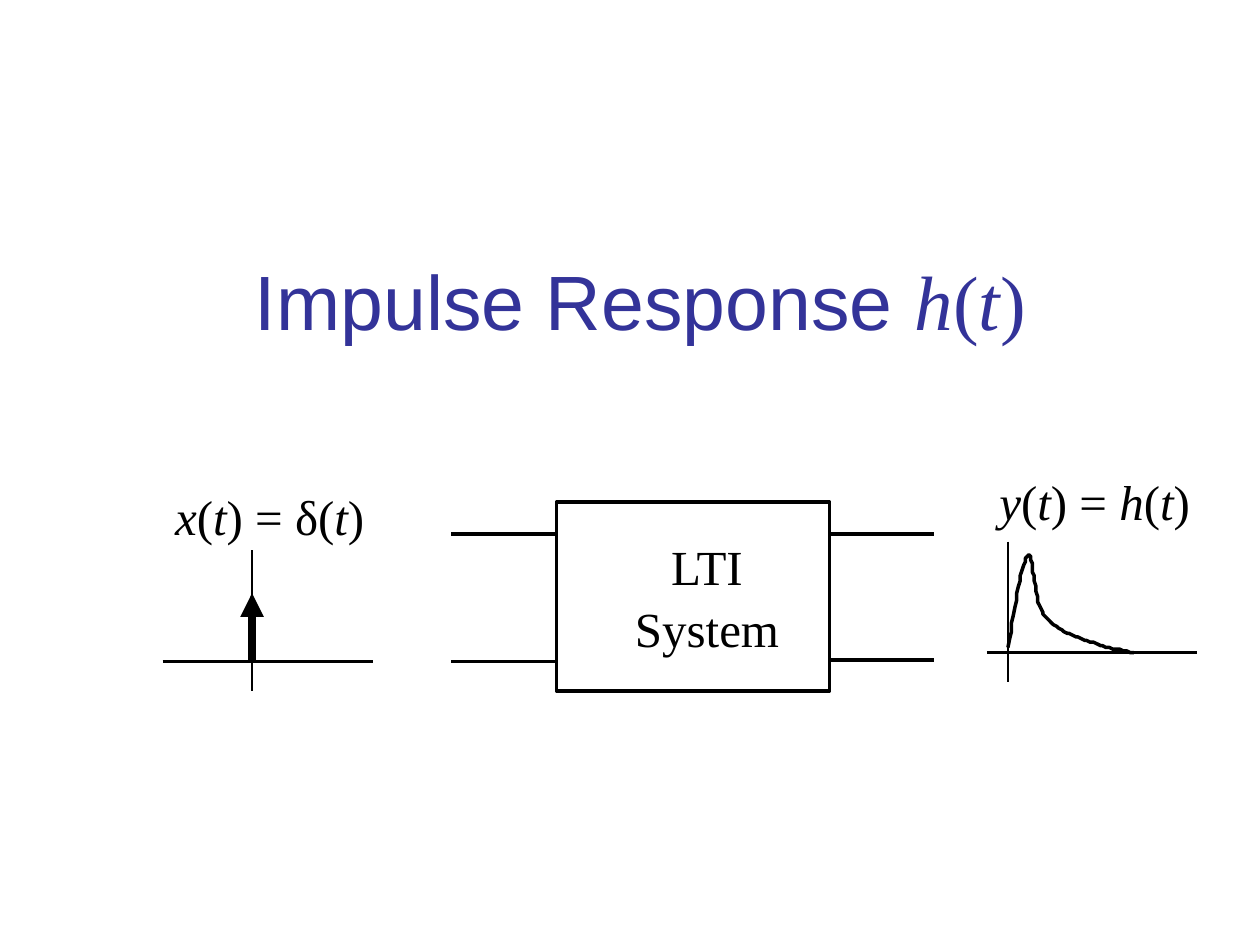
from dataclasses import dataclass
from itertools import pairwise
from lxml.etree import SubElement as Sub
from pptx import Presentation as Deck
from pptx.dml.color import RGBColor as Color
from pptx.enum.shapes import MSO_CONNECTOR as Conn, MSO_SHAPE as Kind
from pptx.enum.text import MSO_ANCHOR as Anchor, PP_ALIGN as Align
from pptx.oxml.ns import qn
from pptx.util import Pt


@dataclass(frozen=True)
class Theme:
    ink: Color = Color(0, 0, 0)
    blue: Color = Color(0x33, 0x33, 0x99)
    sans: str = "Arial"
    serif: str = "Times New Roman"
    head: int = 44
    body: int = 28
    thin: float = 1.5
    edge: float = 2
    wire: float = 2.25
    bold: float = 4.5


THEME = Theme()


def apply(item, form):
    for key, val in form.items():
        setattr(item, key, val)


def stroke(item, width):
    item.line.color.rgb = THEME.ink
    item.line.width = Pt(width)


def add_line(slide, start, end, width, arrow=False):
    line = slide.shapes.add_connector(
        Conn.STRAIGHT, *(Pt(n) for n in (*start, *end)))
    stroke(line, width)
    if arrow:
        Sub(line.line._get_or_add_ln(), qn("a:tailEnd"), type="triangle")
    Sub(line._element.spPr, qn("a:effectLst"))


def add_text(slide, box, rows, size, color, align=Align.LEFT, space=1.0,
             **form):
    frame = slide.shapes.add_textbox(*(Pt(n) for n in box)).text_frame
    apply(frame, {"word_wrap": False, **form})
    for num, row in enumerate(rows):
        para = frame.add_paragraph() if num else frame.paragraphs[0]
        apply(para, {"alignment": align, "line_spacing": space})
        for text, face, slant in row:
            run = para.add_run()
            run.text = text
            apply(run.font, {"name": face, "size": Pt(size), "italic": slant})
            run.font.color.rgb = color


def math(*parts):
    return [(text, THEME.serif, num % 2 == 0)
            for num, text in enumerate(parts)]


def add_label(slide, box, rows, align=Align.LEFT):
    add_text(slide, box, rows, THEME.body, THEME.ink, align, 1.05)


def add_box(slide, box):
    rect = slide.shapes.add_shape(Kind.RECTANGLE, *(Pt(n) for n in box))
    rect.shadow.inherit = False
    rect.fill.background()
    stroke(rect, THEME.edge)


def bend(ends, steps=16):
    for num in range(1, steps + 1):
        t = num / steps
        u = 1 - t
        mix = (u ** 3, 3 * u * u * t, 3 * u * t * t, t ** 3)
        yield tuple(sum(m * p[axis] for m, p in zip(mix, ends))
                    for axis in (0, 1))


def add_curve(slide, start, arcs):
    knots = [start, *(arc[-1] for arc in arcs)]
    dots = [dot for (first, _), arc in zip(pairwise(knots), arcs)
            for dot in bend((first, *arc))]
    pen = slide.shapes.build_freeform(*start, scale=Pt(1))
    pen.add_line_segments(dots, close=False)
    curve = pen.convert_to_shape()
    curve.shadow.inherit = False
    curve.fill.background()
    stroke(curve, THEME.edge)


def add_axes(slide, left, base, stem, top):
    add_line(slide, (left, base), (left + 120, base), THEME.thin)
    add_line(slide, (stem, top), (stem, top + 80.5), THEME.thin)


def main():
    deck = Deck()
    apply(deck, {"slide_width": Pt(720), "slide_height": Pt(540)})
    slide = deck.slides.add_slide(deck.slide_layouts[6])

    title = [("Impulse Response ", THEME.sans, False),
             *math("h", "(", "t", ")")]
    add_text(slide, (60, 126, 612, 90), [title], THEME.head, THEME.blue,
             Align.CENTER, word_wrap=True, vertical_anchor=Anchor.MIDDLE)

    add_box(slide, (318, 287, 156, 108))
    for left, low in ((258, 378), (474, 377)):
        for y in (305, low):
            add_line(slide, (left, y), (left + 60, y), THEME.wire)
    add_label(slide, (355, 301.5, 98, 75),
              [[(word, THEME.serif, False)] for word in ("LTI", "System")],
              Align.CENTER)

    add_label(slide, (93, 273, 124.5, 41),
              [math("x", "(", "t", ") = δ(", "t", ")")])
    add_axes(slide, 93, 378, 144, 314.5)
    add_line(slide, (144, 378), (144, 339), THEME.bold, arrow=True)

    add_label(slide, (564, 264, 124.5, 41),
              [math("y", "(", "t", ") = ", "h", "(", "t", ")")])
    add_axes(slide, 564, 373, 576, 309.5)
    add_curve(slide, (576, 370), (
        ((580.3, 345), (584, 320.5), (587.5, 317)),
        ((590.5, 314), (590.5, 342), (595.5, 350)),
        ((600.5, 358), (609, 361.5), (618, 365)),
        ((627, 368.5), (637, 371), (648, 373))))

    deck.save("out.pptx")


if __name__ == "__main__":
    main()
